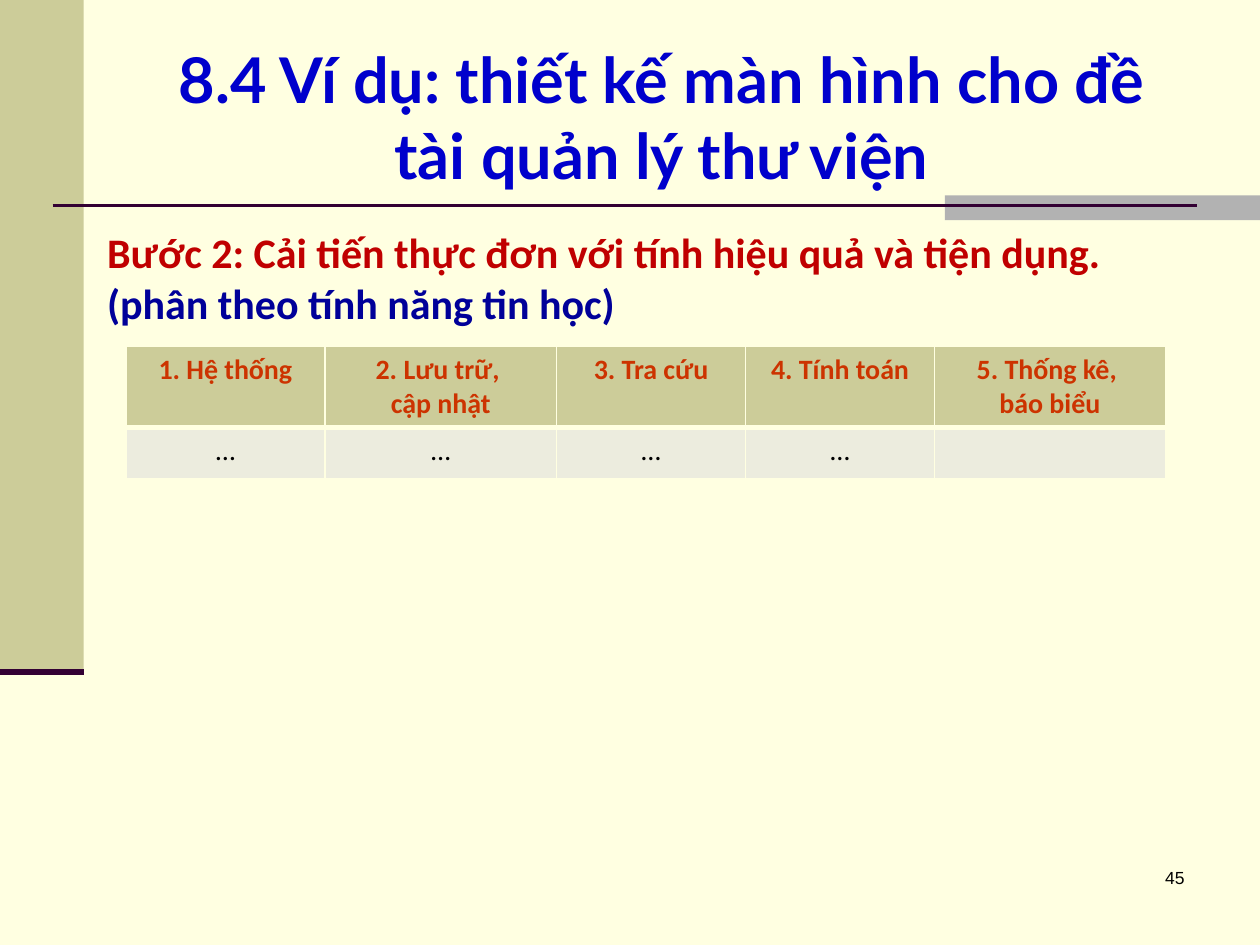
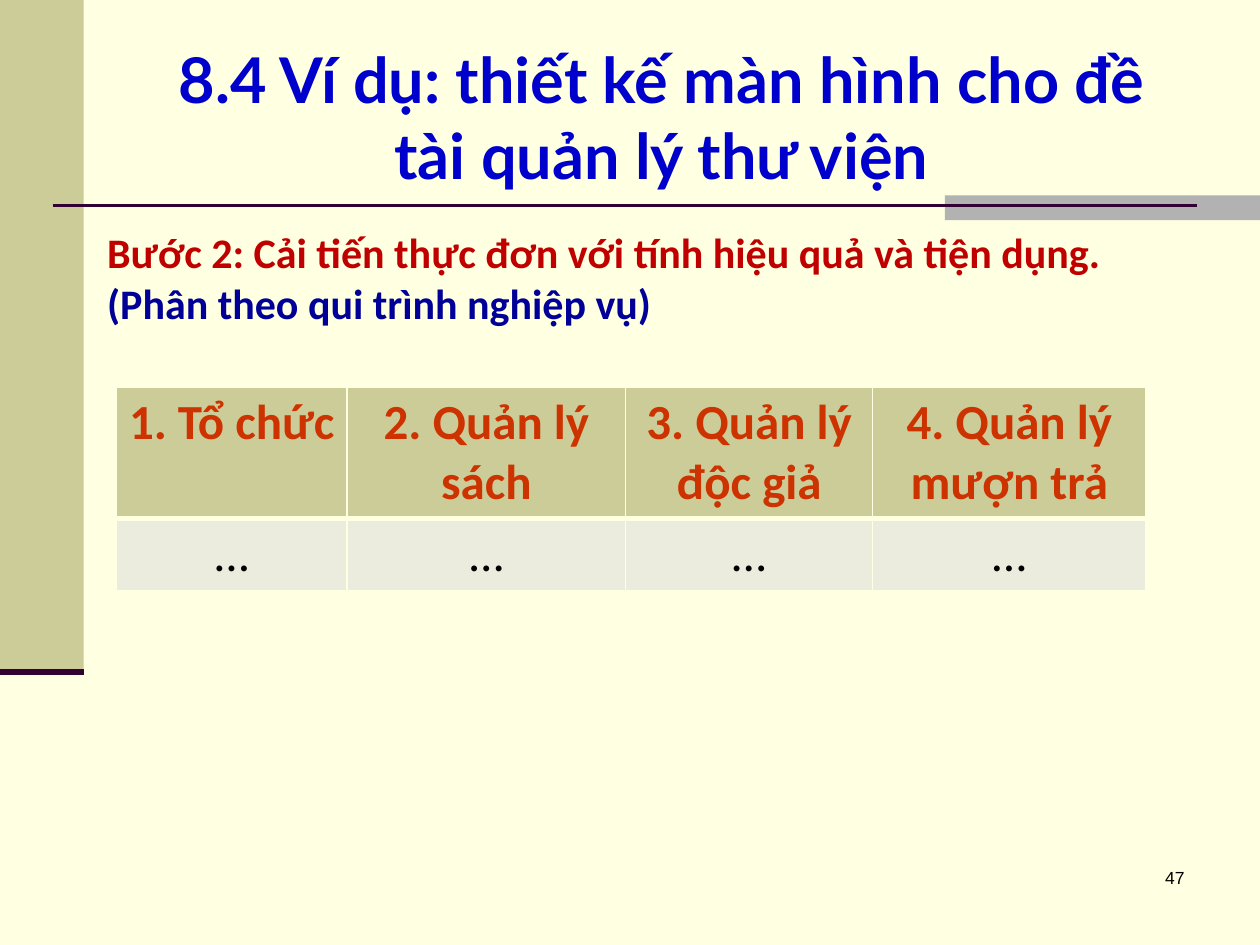
from lxml.etree import SubElement
from pptx import Presentation
from pptx.dml.color import RGBColor
from pptx.enum.shapes import MSO_CONNECTOR, MSO_SHAPE
from pptx.enum.text import MSO_ANCHOR, MSO_AUTO_SIZE, PP_ALIGN
from pptx.oxml.ns import qn
from pptx.util import Cm, Pt

TITLE = "8.4 Ví dụ: thiết kế màn hình cho đề tài quản lý thư viện"
STEP = "Bước 2: Cải tiến thực đơn với tính hiệu quả và tiện dụng."

SLIDES = [
    {
        "number": "45",
        "basis": "(phân theo tính năng tin học)",
        "menus": ["1. Hệ thống", "2. Lưu trữ, \ncập nhật", "3. Tra cứu",
                  "4. Tính toán", "5. Thống kê, \nbáo biểu"],
        "items": ["…", "…", "…", "…", ""],
        "size": 16,
        "at": (2.54, 6.99),
        "cols": [4.01, 4.67, 3.81, 3.81, 4.65],
        "rows": [1.63, 1.03],
    },
    {
        "number": "47",
        "basis": "(Phân theo qui trình nghiệp vụ)",
        "menus": ["1. Tổ chức", "2. Quản lý sách", "3. Quản lý độc giả",
                  "4. Quản lý mượn trả"],
        "items": ["…", "…", "…", "…"],
        "size": 28,
        "at": (2.34, 7.8),
        "cols": [4.66, 5.61, 4.98, 5.51],
        "rows": [2.65, 1.46],
    },
]

PAPER, OLIVE, GREY, PLUM = "FFFFE1", "CCCC99", "B2B2B2", "330033"
BLUE, NAVY, RED, ORANGE = "0000CC", "000099", "C00000", "CC3300"
PALE, BLACK = "ECECDE", "000000"

BANDS = [((0, 0, 1.69, 13.55), OLIVE), ((19.05, 3.94, 6.4, 0.5), GREY)]
RULES = [((1.06, 4.14, 24.13, 4.14), 1.5), ((0, 13.55, 1.69, 13.55), 3.5)]


def rgb(color):
    return RGBColor.from_string(color)


def add_run(p, text, font, size, color, bold=False):
    r = p.add_run()
    r.text = text
    r.font.name, r.font.size, r.font.bold = font, Pt(size), bold
    r.font.color.rgb = rgb(color)


def write(tf, lines, align, font, size, bold=False):
    for i, (text, color) in enumerate(lines):
        p = tf.add_paragraph() if i else tf.paragraphs[0]
        p.alignment = align
        add_run(p, text, font, size, color, bold)


def add_text(s, box, lines, align, font, size, bold=False):
    tf = s.shapes.add_textbox(*map(Cm, box)).text_frame
    tf.word_wrap = True
    write(tf, lines, align, font, size, bold)
    return tf


def add_frame(s):
    for box, color in BANDS:
        sp = s.shapes.add_shape(MSO_SHAPE.RECTANGLE, *map(Cm, box))
        sp.shadow.inherit = False
        sp.fill.solid()
        sp.fill.fore_color.rgb = rgb(color)
        sp.line.fill.background()
    for ends, width in RULES:
        line = s.shapes.add_connector(MSO_CONNECTOR.STRAIGHT, *map(Cm, ends))
        line.line.color.rgb = rgb(PLUM)
        line.line.width = Pt(width)
        SubElement(line._element.spPr, qn("a:effectLst"))


def add_title(s):
    sp = s.shapes.title
    sp.left, sp.top, sp.width, sp.height = map(Cm, (2.54, 0.76, 21.59, 3.18))
    tf = sp.text_frame
    tf.auto_size = MSO_AUTO_SIZE.NONE
    tf.vertical_anchor = MSO_ANCHOR.MIDDLE
    write(tf, [(TITLE, BLUE)], PP_ALIGN.CENTER, "Lato", 36, True)


def add_borders(cell, header):
    widths = {"a:lnL": 1, "a:lnR": 1, "a:lnT": 1 if header else 3,
              "a:lnB": 3 if header else 1}
    tc_pr = cell._tc.get_or_add_tcPr()
    for tag, width in widths.items():
        ln = SubElement(tc_pr, qn(tag), w=str(Pt(width)))
        SubElement(SubElement(ln, qn("a:solidFill")), qn("a:srgbClr"), val=PAPER)


def add_menu_table(s, slide):
    cols, rows = slide["cols"], slide["rows"]
    box = map(Cm, (*slide["at"], sum(cols), sum(rows)))
    table = s.shapes.add_table(len(rows), len(cols), *box).table
    for col, width in zip(table.columns, cols):
        col.width = Cm(width)
    for i, texts in enumerate((slide["menus"], slide["items"])):
        header = i == 0
        table.rows[i].height = Cm(rows[i])
        for j, text in enumerate(texts):
            cell = table.cell(i, j)
            add_borders(cell, header)
            cell.fill.solid()
            cell.fill.fore_color.rgb = rgb(OLIVE if header else PALE)
            lines = [(t, ORANGE if header else BLACK) for t in text.splitlines()]
            write(cell.text_frame, lines, PP_ALIGN.CENTER, "Calibri",
                  slide["size"], header)


def main():
    prs = Presentation()
    prs.slide_width, prs.slide_height = Cm(25.4), Cm(19.05)
    fill = prs.slide_master.background.fill
    fill.solid()
    fill.fore_color.rgb = rgb(PAPER)
    for slide in SLIDES:
        s = prs.slides.add_slide(prs.slide_layouts[5])
        add_frame(s)
        add_title(s)
        tf = add_text(s, (1.91, 4.45, 22.22, 12.57),
                      [(STEP, RED), (slide["basis"], NAVY)],
                      PP_ALIGN.JUSTIFY, "Calibri", 24, True)
        for p in tf.paragraphs:
            p_pr = p._p.get_or_add_pPr()
            p_pr.set("marL", str(Cm(0.95)))
            p_pr.set("indent", str(-Cm(0.95)))
        add_text(s, (18.85, 17.35, 5.28, 1.27), [(slide["number"], BLACK)],
                 PP_ALIGN.RIGHT, "Arial", 10)
        add_menu_table(s, slide)
    prs.save("out.pptx")


if __name__ == "__main__":
    main()
